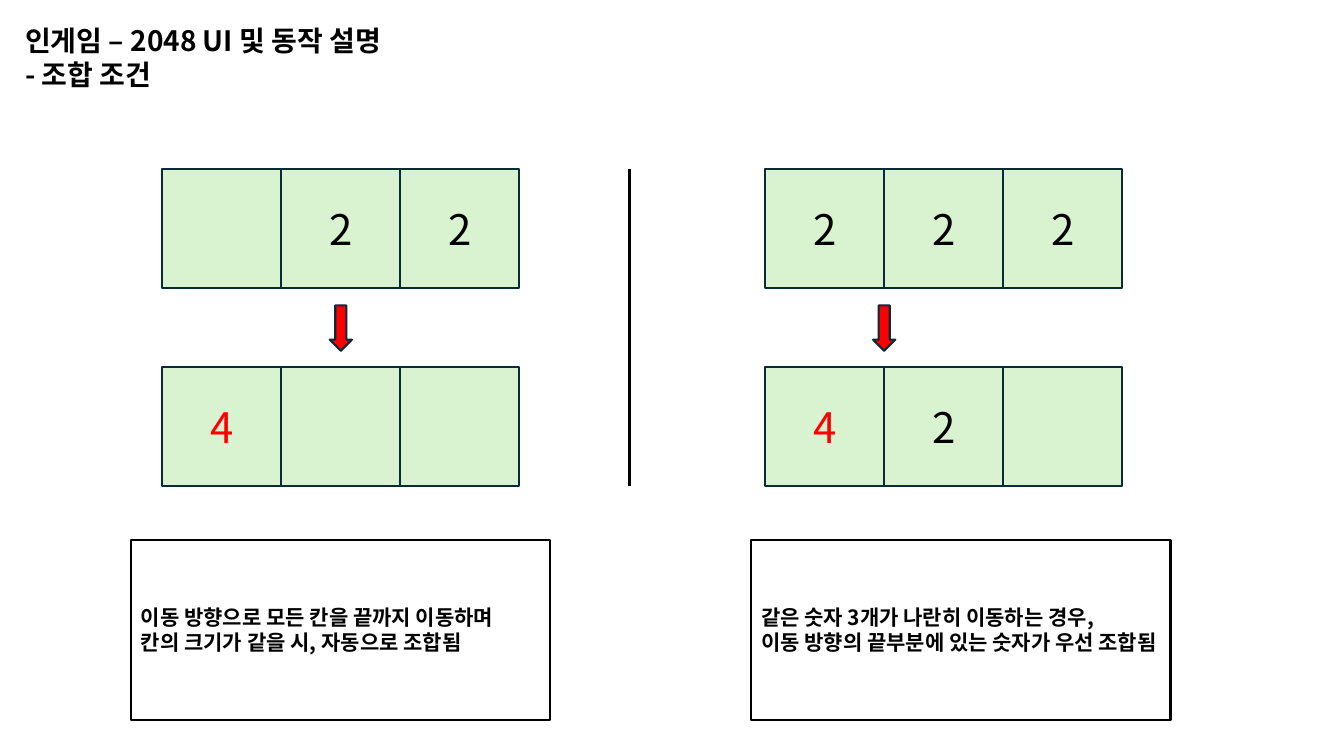
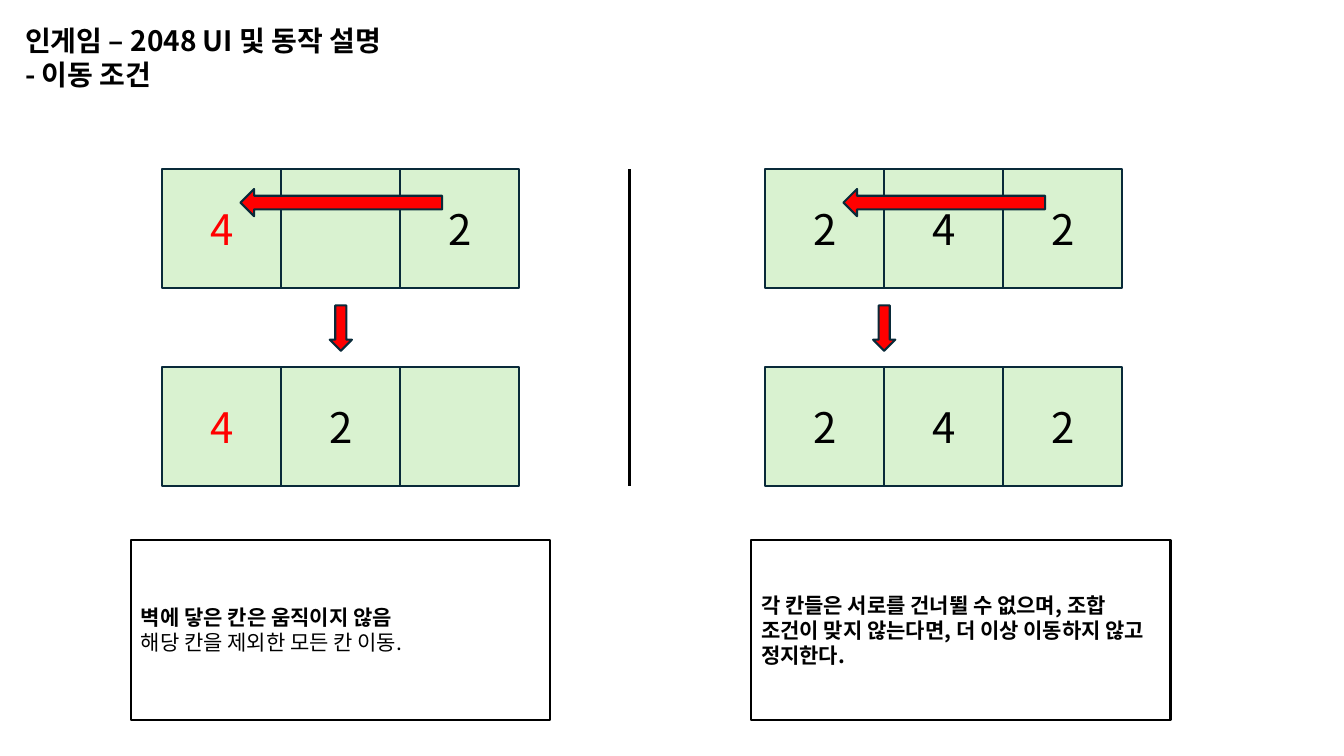
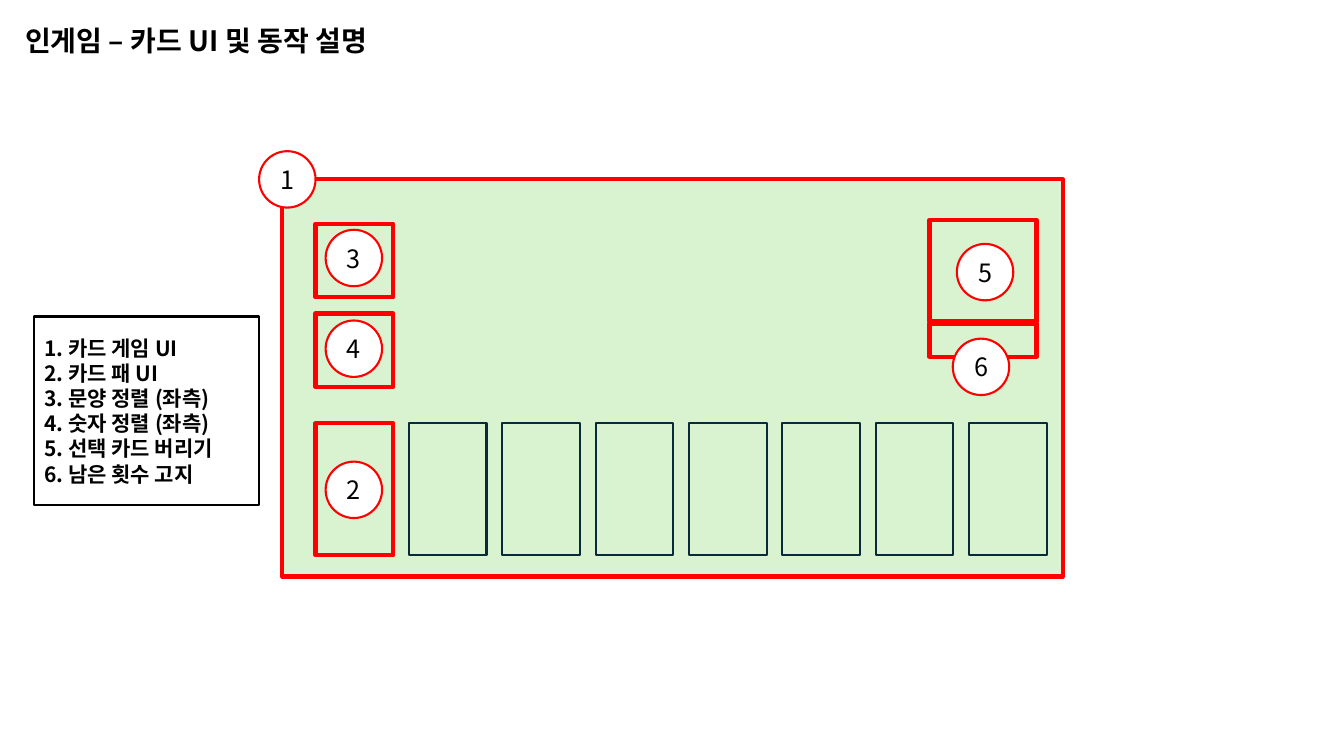
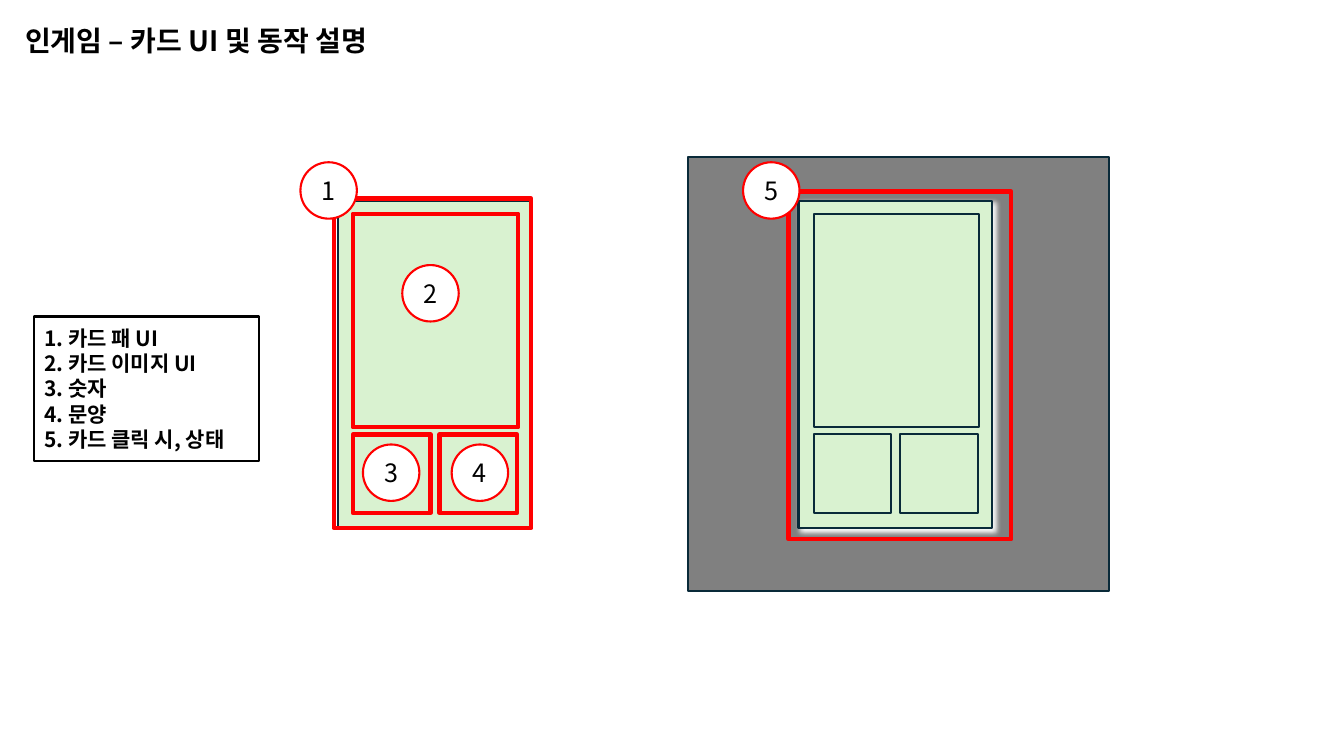
from lxml import etree
from pptx import Presentation
from pptx.dml.color import RGBColor
from pptx.enum import shapes, text
from pptx.oxml import ns
from pptx.util import Inches, Pt

FONT = "Noto Sans CJK KR"
COLORS = {"tile": "D9F2D0", "edge": "092A39", "mark": "FF0000",
          "ink": "000000", "paper": "FFFFFF", "backdrop": "808080"}
RECT = shapes.MSO_SHAPE.RECTANGLE
DOWN = shapes.MSO_SHAPE.DOWN_ARROW

# Rules of the number game: each panel shows a row of tiles before and after a move
MOVE_TITLE = "인게임 – 2048 UI 및 동작 설명"
RULES = [
    {"title": [MOVE_TITLE, "- 조합 조건"], "slide_arrow": False, "panels": [
        {"before": ["", "2", "2"], "after": ["4", "", ""],
         "note": ["이동 방향으로 모든 칸을 끝까지 이동하며", "칸의 크기가 같을 시, 자동으로 조합됨"]},
        {"before": ["2", "2", "2"], "after": ["4", "2", ""],
         "note": ["같은 숫자 3개가 나란히 이동하는 경우,", "이동 방향의 끝부분에 있는 숫자가 우선 조합됨"]}]},
    {"title": [MOVE_TITLE, "- 이동 조건"], "slide_arrow": True, "panels": [
        {"before": ["4", "", "2"], "after": ["4", "2", ""],
         "note": ["벽에 닿은 칸은 움직이지 않음", "해당 칸을 제외한 모든 칸 이동."], "plain_lines": [1]},
        {"before": ["2", "4", "2"], "after": ["2", "4", "2"],
         "note": ["각 칸들은 서로를 건너뛸 수 없으며, 조합 조건이 맞지 않는다면, "
                  "더 이상 이동하지 않고 정지한다."]}]},
]
# Left edges of the tile row, the note and the arrow of each panel
PANEL_LEFTS = [(1.61, 1.3, 3.27), (7.59, 7.45, 8.66)]
TILE = 1.18
BEFORE_TOP, AFTER_TOP = 1.68, 3.64

CARD_TITLE = ["인게임 – 카드 UI 및 동작 설명"]
HAND_LEGEND = ["카드 게임 UI", "카드 패 UI", "문양 정렬 (좌측)", "숫자 정렬 (좌측)",
               "선택 카드 버리기", "남은 횟수 고지"]
HAND_BADGES = [(2.57, 1.5), (3.23, 4.58), (3.23, 2.28), (3.23, 3.18), (9.49, 2.42), (9.45, 3.36)]
TABLE = (2.8, 1.78, 7.74, 3.94)
HAND = [(3.13 + 0.926 * i, 4.2, 0.77, 1.31) for i in range(8)]
SORT_BUTTONS = [(3.13, top, 0.77, 0.73) for top in (2.22, 3.11)]
DISCARD, REMAINING = (9.22, 2.18, 1.06, 1.01), (9.22, 3.21, 1.06, 0.33)

CARD_LEGEND = ["카드 패 UI", "카드 이미지 UI", "숫자", "문양", "카드 클릭 시, 상태"]
CARD_BADGES = [(2.98, 1.61), (3.99, 2.63), (3.6, 4.41), (4.48, 4.41), (7.37, 1.61)]
CARD_TOP, CARD_SIZE = 1.99, (1.92, 3.25)
CARD_LEFT, CLICKED_LEFT = 3.35, 7.92
# Picture, number and suit inside a card: offset and size
CARD_PARTS = [(0.15, 0.13, 1.64, 2.12), (0.15, 2.32, 0.77, 0.78), (1.01, 2.32, 0.77, 0.78)]
CARD_MARK, CLICKED_MARK = (3.31, 1.97, 1.96, 3.27), (7.82, 1.9, 2.21, 3.45)


def rgb(name):
    return RGBColor.from_string(COLORS[name])


def write(shape, lines, size, bold=False, color="ink", align=text.PP_ALIGN.LEFT, plain_lines=()):
    frame = shape.text_frame
    frame.word_wrap = True
    frame.vertical_anchor = text.MSO_ANCHOR.MIDDLE
    frame.text = "\n".join(lines)
    for number, paragraph in enumerate(frame.paragraphs):
        paragraph.alignment = align
        for run in paragraph.runs:
            font = run.font
            font.size, font.name = Pt(size), FONT
            font.bold = bold and number not in plain_lines
            font.color.rgb = rgb(color)
            east_asian = etree.SubElement(run._r.get_or_add_rPr(), ns.qn("a:ea"))
            east_asian.set("typeface", FONT)


def draw(slide, box, fill=None, line="edge", width=1.5, kind=RECT):
    shape = slide.shapes.add_shape(kind, *map(Inches, box))
    shape.shadow.inherit = False
    if fill:
        shape.fill.solid()
        shape.fill.fore_color.rgb = rgb(fill)
    else:
        shape.fill.background()
    shape.line.color.rgb = rgb(line)
    shape.line.width = Pt(width)
    return shape


def mark(slide, boxes):
    """Outline the explained areas in red."""
    for box in boxes:
        draw(slide, box, line="mark", width=3)


def badges(slide, places):
    for number, place in enumerate(places, 1):
        badge = draw(slide, (*place, 0.56, 0.56), "paper", "mark", kind=shapes.MSO_SHAPE.OVAL)
        badge.text_frame.margin_left = badge.text_frame.margin_right = 0
        write(badge, [str(number)], 18, align=text.PP_ALIGN.CENTER)


def legend(slide, entries, height):
    box = draw(slide, (0.34, 3.14, 2.23, height), line="ink")
    write(box, [f"{number}. {entry}" for number, entry in enumerate(entries, 1)], 15, bold=True)


def titled_slide(deck, title):
    slide = deck.slides.add_slide(deck.slide_layouts[6])
    height = 0.13 + 0.33 * len(title)
    heading = slide.shapes.add_textbox(*map(Inches, (0.15, 0.17, 4.16, height)))
    write(heading, title, 20, bold=True)
    return slide


def tile_row(slide, left, top, numbers):
    for column, number in enumerate(numbers):
        tile = draw(slide, (left + column * TILE, top, TILE, TILE), "tile")
        if number:
            # A 4 resting against the left wall is the combined tile
            color = "mark" if number == "4" and column == 0 else "ink"
            write(tile, [number], 30, color=color, align=text.PP_ALIGN.CENTER)


def rule_slide(deck, rule):
    slide = titled_slide(deck, rule["title"])
    divider = slide.shapes.add_connector(
        shapes.MSO_CONNECTOR.STRAIGHT,
        *map(Inches, (6.24, BEFORE_TOP, 6.24, AFTER_TOP + TILE)))
    divider.line.color.rgb = rgb("ink")
    divider.line.width = Pt(2.25)
    etree.SubElement(divider._element.spPr, ns.qn("a:effectLst"))
    for panel, (left, note_left, arrow_left) in zip(rule["panels"], PANEL_LEFTS):
        tile_row(slide, left, BEFORE_TOP, panel["before"])
        tile_row(slide, left, AFTER_TOP, panel["after"])
        draw(slide, (arrow_left, 3.03, 0.22, 0.45), "mark", kind=DOWN)
        if rule["slide_arrow"]:
            draw(slide, (left + 1.64, 1.01, 0.27, 2), "mark", kind=DOWN).rotation = 90
        note = draw(slide, (note_left, 5.36, 4.16, 1.78), line="ink")
        write(note, panel["note"], 15, bold=True, plain_lines=panel.get("plain_lines", ()))


def hand_slide(deck):
    slide = titled_slide(deck, CARD_TITLE)
    legend(slide, HAND_LEGEND, 1.87)
    for box in [TABLE, *HAND, *SORT_BUTTONS]:
        draw(slide, box, "tile")
    mark(slide, [TABLE, HAND[0], *SORT_BUTTONS, DISCARD, REMAINING])
    badges(slide, HAND_BADGES)


def card_parts(left):
    return [(left + x, CARD_TOP + y, width, height) for x, y, width, height in CARD_PARTS]


def glow(shape):
    """Give the shape a white shadow to the lower right."""
    effects = shape._element.spPr.find(ns.qn("a:effectLst"))
    shadow = etree.SubElement(effects, ns.qn("a:outerShdw"), blurRad=str(Pt(4)),
                              dist=str(Pt(3)), dir="2700000", algn="tl", rotWithShape="0")
    etree.SubElement(shadow, ns.qn("a:srgbClr"), val=COLORS["paper"])


def card_slide(deck):
    slide = titled_slide(deck, CARD_TITLE)
    legend(slide, CARD_LEGEND, 1.43)
    draw(slide, (6.82, 1.56, 4.18, 4.3), "backdrop")
    for left in (CARD_LEFT, CLICKED_LEFT):
        card = draw(slide, (left, CARD_TOP, *CARD_SIZE), "tile")
        if left == CLICKED_LEFT:
            glow(card)
        for box in card_parts(left):
            draw(slide, box, "tile")
    mark(slide, [CLICKED_MARK, CARD_MARK, *card_parts(CARD_LEFT)])
    badges(slide, CARD_BADGES)


def main():
    deck = Presentation()
    deck.slide_width, deck.slide_height = Inches(13.33), Inches(7.5)
    for rule in RULES:
        rule_slide(deck, rule)
    hand_slide(deck)
    card_slide(deck)
    deck.save("out.pptx")


if __name__ == "__main__":
    main()
